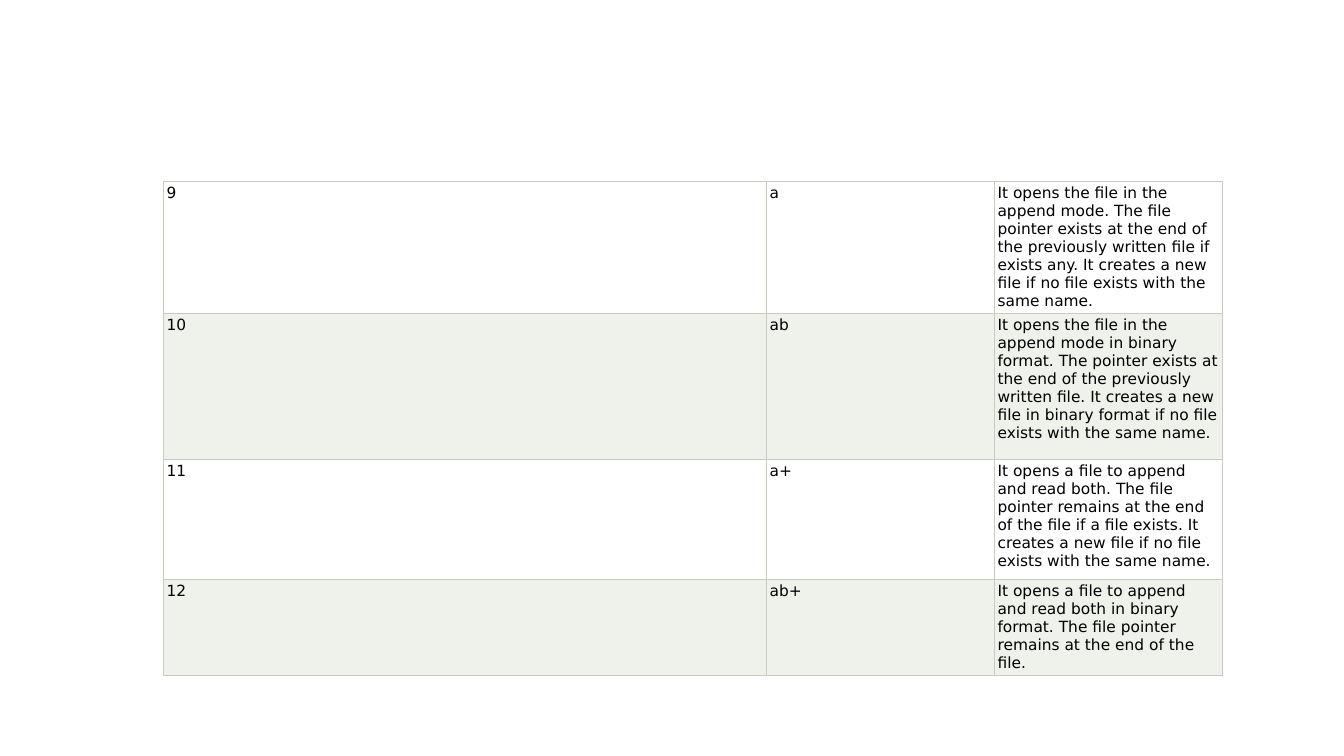
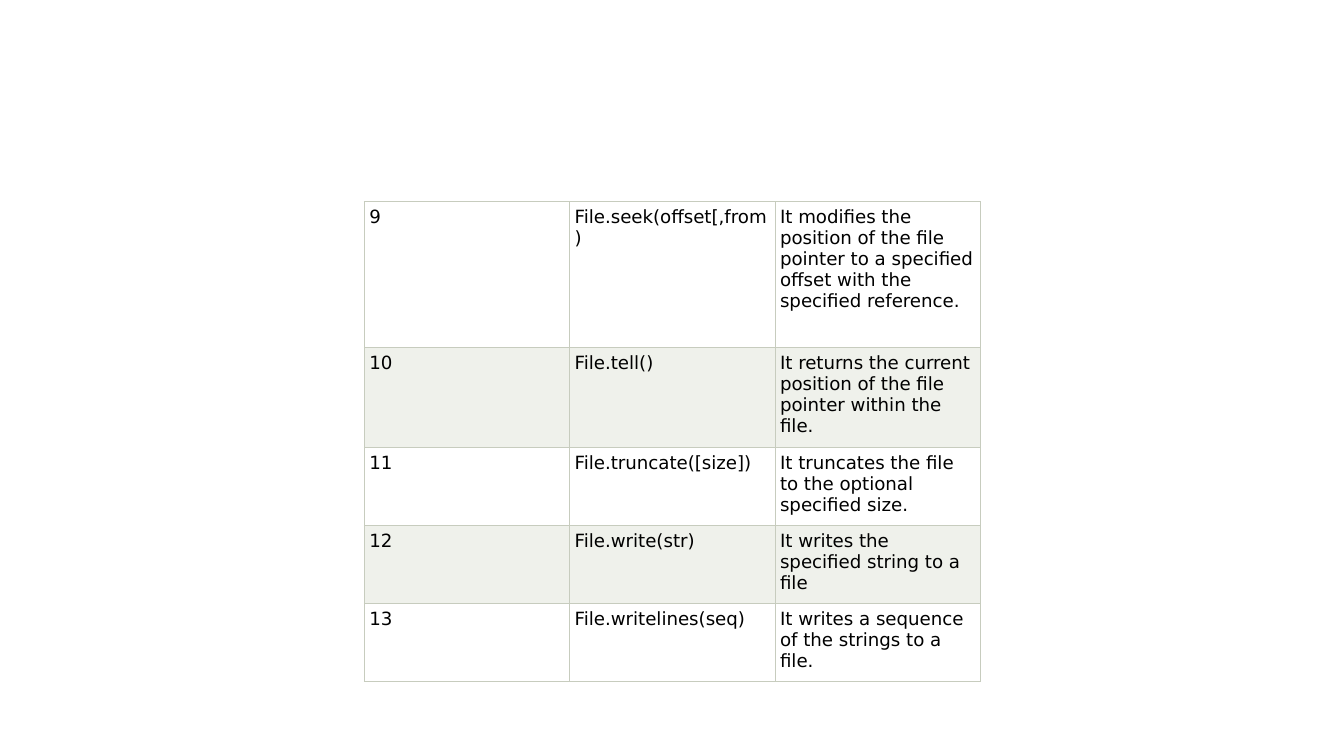
from lxml.etree import SubElement
from pptx import Presentation
from pptx.dml.color import RGBColor
from pptx.oxml.ns import qn
from pptx.util import Pt

FONT = "DejaVu Sans"
TEXT_COLOUR = "000000"
BORDER_COLOUR = "C7CCBE"
BORDER_WIDTH = Pt(0.6)
ROW_FILLS = ("FFFFFF", "EFF1EB")


def colour(hex_string):
    return RGBColor.from_string(hex_string)


def write_cell(cell, text, size, inset, fill):
    """Write one table cell with its text, margins, fill and borders."""
    cell.margin_left = cell.margin_right = Pt(inset)
    cell.margin_top = cell.margin_bottom = Pt(inset)
    span = cell.text_frame.paragraphs[0].add_run()
    span.text = text
    span.font.name = FONT
    span.font.size = Pt(size)
    span.font.color.rgb = colour(TEXT_COLOUR)
    cell.fill.solid()
    cell.fill.fore_color.rgb = colour(fill)

    # Border lines come before the fill in the cell properties
    properties = cell._tc.get_or_add_tcPr()
    for index, side in enumerate(("lnL", "lnR", "lnT", "lnB")):
        line = SubElement(properties, qn(f"a:{side}"), w=str(BORDER_WIDTH))
        solid = SubElement(line, qn("a:solidFill"))
        SubElement(solid, qn("a:srgbClr"), val=BORDER_COLOUR)
        properties.insert(index, line)


# Content: one table per slide, lengths in points
tables = [
    {
        "left": 116.8, "top": 129.5, "size": 11, "inset": 2.2,
        "columns": [430.8, 162.8, 162.8],
        "heights": [94.5, 104.2, 85.7, 67.8],
        "rows": [
            ("9", "a", "It opens the file in the append mode. The file pointer exists at "
             "the end of the previously written file if exists any. It creates a new "
             "file if no file exists with the same name."),
            ("10", "ab", "It opens the file in the append mode in binary format. The "
             "pointer exists at the end of the previously written file. It creates a "
             "new file in binary format if no file exists with the same name."),
            ("11", "a+", "It opens a file to append and read both. The file pointer "
             "remains at the end of the file if a file exists. It creates a new file "
             "if no file exists with the same name."),
            ("12", "ab+", "It opens a file to append and read both in binary format. "
             "The file pointer remains at the end of the file."),
        ],
    },
    {
        "left": 260.2, "top": 144, "size": 13, "inset": 3.6,
        "columns": [146.7] * 3,
        "heights": [104.2, 71.6] + [55.6] * 3,
        "rows": [
            ("9", "File.seek(offset[,from)", "It modifies the position of the file "
             "pointer to a specified offset with the specified reference."),
            ("10", "File.tell()", "It returns the current position of the file pointer "
             "within the file."),
            ("11", "File.truncate([size])", "It truncates the file to the optional "
             "specified size."),
            ("12", "File.write(str)", "It writes the specified string to a file"),
            ("13", "File.writelines(seq)", "It writes a sequence of the strings to a file."),
        ],
    },
]

deck = Presentation()
deck.slide_width = Pt(960)
deck.slide_height = Pt(540)

# Build one slide for each table
for data in tables:
    page = deck.slides.add_slide(deck.slide_layouts[6])
    table = page.shapes.add_table(
        len(data["rows"]), len(data["columns"]), Pt(data["left"]), Pt(data["top"]),
        Pt(sum(data["columns"])), Pt(sum(data["heights"]))).table
    table.first_row = False

    for column, width in zip(table.columns, data["columns"]):
        column.width = Pt(width)
    for row_index, texts in enumerate(data["rows"]):
        row = table.rows[row_index]
        row.height = Pt(data["heights"][row_index])
        for cell, text in zip(row.cells, texts):
            write_cell(cell, text, size=data["size"], inset=data["inset"],
                       fill=ROW_FILLS[row_index % 2])

deck.save("out.pptx")
